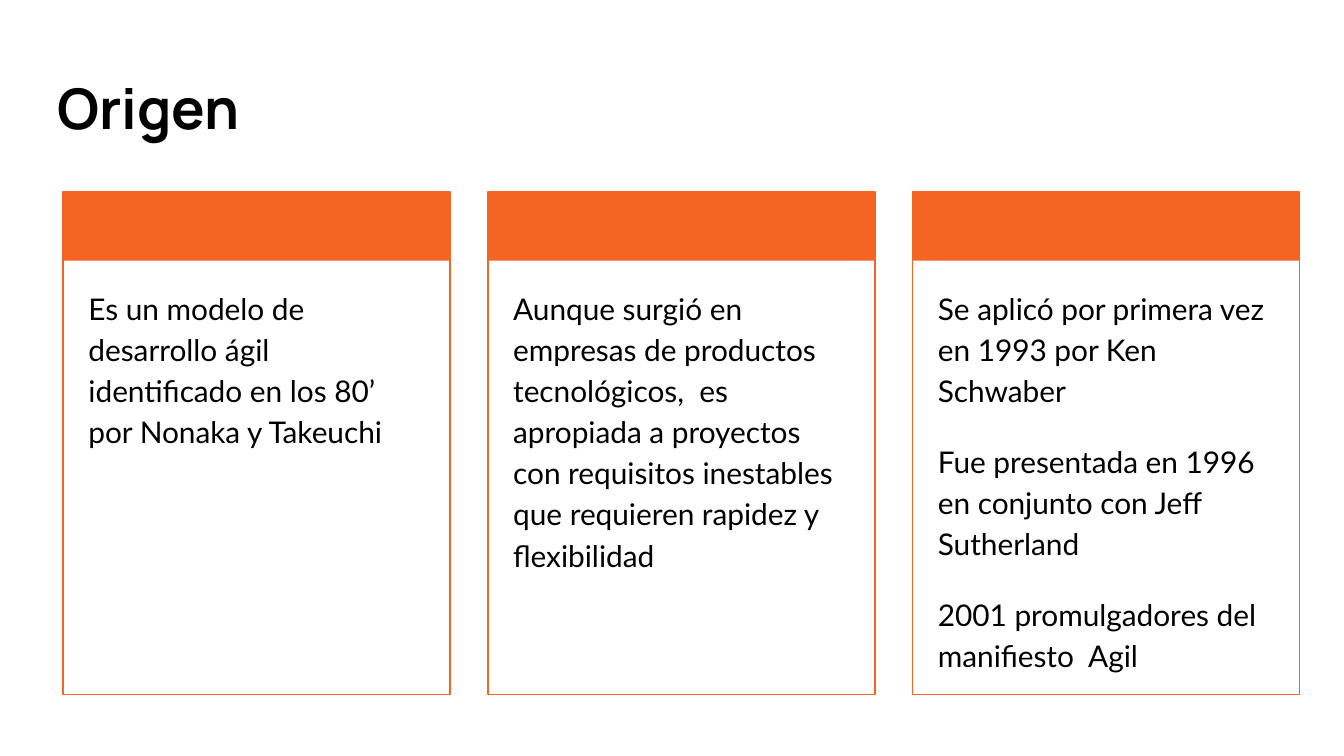
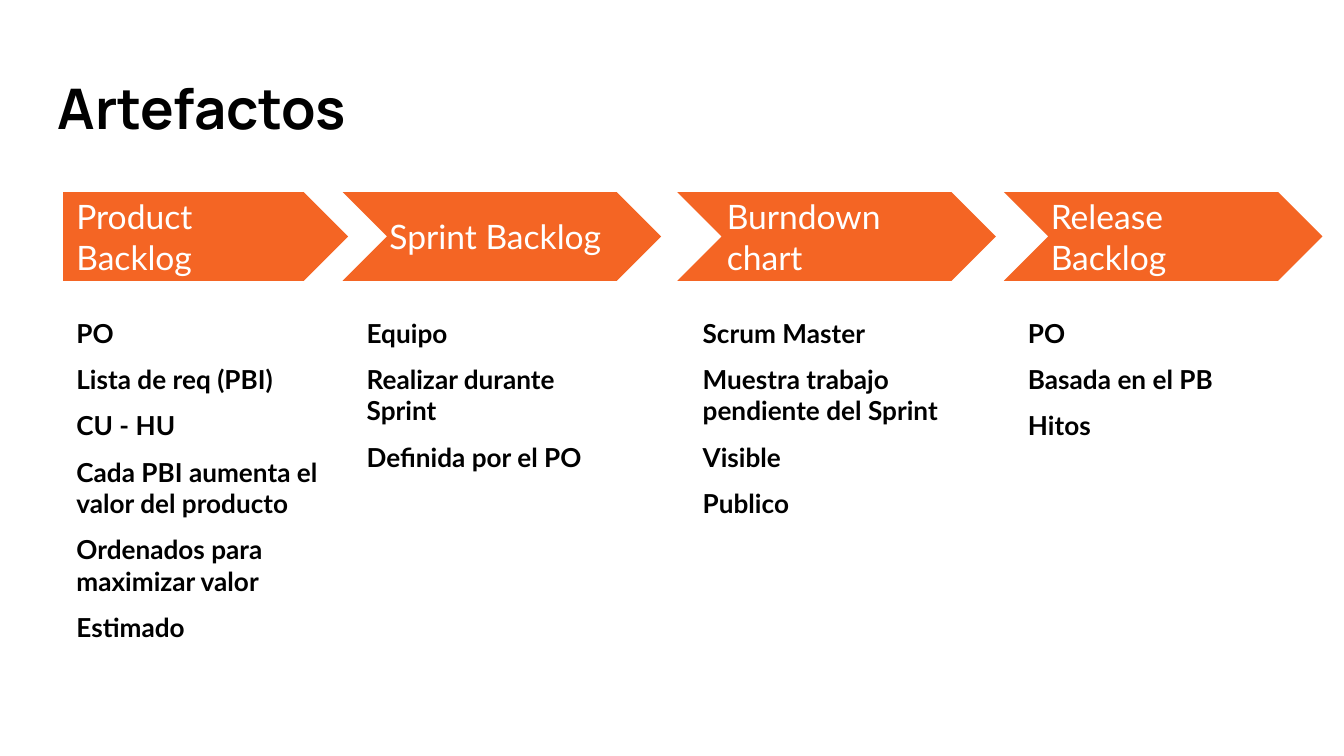
from pptx import Presentation
from pptx.dml.color import RGBColor
from pptx.enum.shapes import MSO_SHAPE
from pptx.enum.text import MSO_ANCHOR, PP_ALIGN
from pptx.util import Inches, Pt

COLORS = {"orange": "F46524", "black": "000000", "white": "FFFFFF"}
BODY_FONT, TITLE_FONT = "Lato", "Manrope"

# Shared grid, in inches
LEFT, TOP = 0.47, 1.43
CARD_WIDTH, CARD_HEIGHT, CARD_STEP, BAND_HEIGHT = 2.88, 3.74, 3.16, 0.51
ARROW_HEIGHT, LABEL_HEIGHT, LABEL_WIDTH = 0.66, 0.34, 1.94
LIST_TOP, LIST_WIDTH, LIST_HEIGHT = 2.26, 2.12, 2.9


def add_text(slide, box, lines, size, color="black", font=BODY_FONT, bold=False,
             gap=0, spacing=1.0, anchor=MSO_ANCHOR.TOP):
    shape = slide.shapes.add_textbox(*[Inches(value) for value in box])
    text_frame = shape.text_frame
    text_frame.text = "\n".join(lines)
    text_frame.word_wrap = True
    text_frame.vertical_anchor = anchor
    text_frame.margin_left = text_frame.margin_right = Inches(0.1)
    text_frame.margin_top = text_frame.margin_bottom = Inches(0.1)
    for index, paragraph in enumerate(text_frame.paragraphs):
        paragraph.alignment = PP_ALIGN.LEFT
        paragraph.line_spacing = spacing
        paragraph.space_before = Pt(gap if index else 0)
        for run in paragraph.runs:
            run.font.name = font
            run.font.size = Pt(size)
            run.font.bold = bold
            run.font.color.rgb = RGBColor.from_string(COLORS[color])


def add_block(slide, kind, box, filled=True):
    shape = slide.shapes.add_shape(kind, *[Inches(value) for value in box])
    shape.shadow.inherit = False
    orange = RGBColor.from_string(COLORS["orange"])
    if filled:
        shape.fill.solid()
        shape.fill.fore_color.rgb = orange
        shape.line.fill.background()
    else:
        shape.fill.background()
        shape.line.color.rgb = orange
        shape.line.width = Pt(0.75)


# Widescreen page, 16 by 9
presentation = Presentation()
presentation.slide_width = Inches(10)
presentation.slide_height = Inches(10) * 9 // 16

# Both slides with their titles
slides = []
for title in ["Origen", "Artefactos"]:
    slide = presentation.slides.add_slide(presentation.slide_layouts[6])
    slide.background.fill.solid()
    slide.background.fill.fore_color.rgb = RGBColor.from_string(COLORS["white"])
    add_text(slide, (0.33, 0.45, 9.32, 0.7), [title], 30, font=TITLE_FONT, bold=True)
    slides.append(slide)
origin_slide, artifacts_slide = slides

# Origen: three cards with a header band
cards = [
    ["Es un modelo de desarrollo ágil identificado en los 80’ por Nonaka y Takeuchi"],
    ["Aunque surgió en empresas de productos tecnológicos,  es apropiada a proyectos "
     "con requisitos inestables que requieren rapidez y flexibilidad"],
    ["Se aplicó por primera vez en 1993 por Ken Schwaber",
     "Fue presentada en 1996 en conjunto con Jeff Sutherland",
     "2001 promulgadores del manifiesto  Agil"],
]
for column, lines in enumerate(cards):
    left = LEFT + column * CARD_STEP
    add_block(origin_slide, MSO_SHAPE.RECTANGLE, (left, TOP, CARD_WIDTH, BAND_HEIGHT))
    add_block(origin_slide, MSO_SHAPE.RECTANGLE, (left, TOP, CARD_WIDTH, CARD_HEIGHT),
              filled=False)
    add_text(origin_slide, (left + 0.09, 2.02, 2.71, 3.06), lines, 16,
             gap=16, spacing=1.15)

# Artefactos: arrow left and width, label left, list left, label, list
artifacts = [
    (LEFT, 2.12, LEFT, LEFT, "Product Backlog",
     ["PO", "Lista de req (PBI)", "CU - HU", "Cada PBI aumenta el valor del producto",
      "Ordenados para maximizar valor", "Estimado"]),
    (2.55, 2.37, 2.8, 2.63, "Sprint Backlog",
     ["Equipo", "Realizar durante Sprint", "Definida por el PO"]),
    (5.04, 2.37, 5.31, 5.13, "Burndown chart",
     ["Scrum Master", "Muestra trabajo pendiente del Sprint", "Visible", "Publico"]),
    (7.47, 2.37, 7.72, 7.55, "Release Backlog",
     ["PO", "Basada en el PB", "Hitos"]),
]
label_top = TOP + (ARROW_HEIGHT - LABEL_HEIGHT) / 2
for column, (left, width, label_left, list_left, label, lines) in enumerate(artifacts):
    kind = MSO_SHAPE.CHEVRON if column else MSO_SHAPE.PENTAGON
    add_block(artifacts_slide, kind, (left, TOP, width, ARROW_HEIGHT))
    add_text(artifacts_slide, (label_left, label_top, LABEL_WIDTH, LABEL_HEIGHT), [label],
             18, color="white", anchor=MSO_ANCHOR.MIDDLE)
    add_text(artifacts_slide, (list_left, LIST_TOP, LIST_WIDTH, LIST_HEIGHT), lines,
             14, bold=True, gap=8)

presentation.save("out.pptx")
